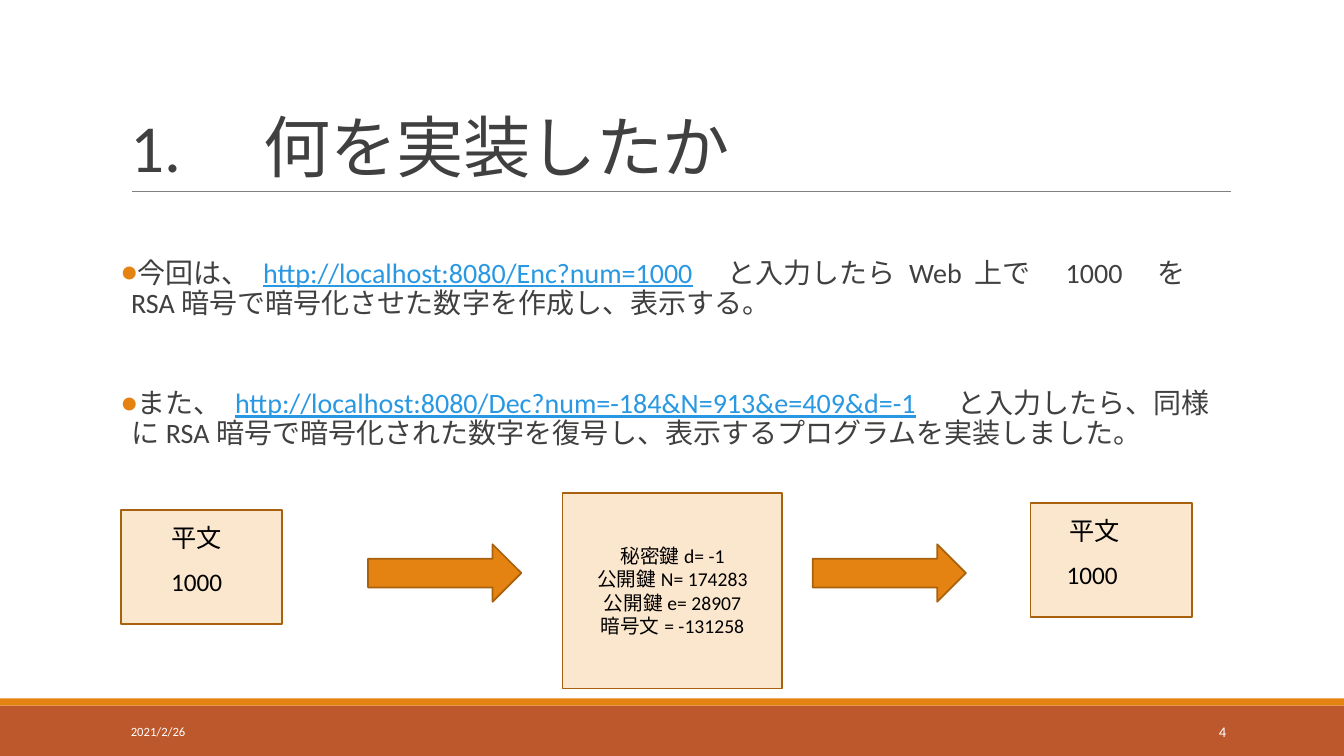
from dataclasses import dataclass

from lxml import etree
from pptx import Presentation
from pptx.dml.color import RGBColor
from pptx.enum.lang import MSO_LANGUAGE_ID as Lang
from pptx.enum.shapes import MSO_CONNECTOR as Conn, MSO_SHAPE as Shape
from pptx.enum.text import MSO_ANCHOR as Anchor, PP_ALIGN as Align
from pptx.oxml.ns import qn
from pptx.util import Inches, Pt

FONT = "Calibri"
COLORS = {
    "footer": "BD582C",
    "accent": "E48312",
    "edge": "A9610D",
    "card": "FBE6CE",
    "rule": "808080",
    "text": "404040",
    "link": "2998E3",
    "black": "000000",
    "white": "FFFFFF",
}


@dataclass
class Box:
    left: float
    top: float
    width: float
    height: float

    def emu(self) -> tuple:
        return tuple(Inches(v) for v in (self.left, self.top, self.width, self.height))


@dataclass
class Block:
    box: Box
    kind: Shape
    fill: str
    edge: str | None = None


@dataclass
class Label:
    box: Box
    text: str
    size: float
    color: str = "black"
    anchor: Anchor = Anchor.TOP
    align: Align = Align.LEFT


@dataclass
class Bullet:
    lead: str
    address: str
    rest: str
    space_before: float


def rgb(name: str) -> RGBColor:
    return RGBColor.from_string(COLORS[name])


def style_run(r, size: float, color: str) -> None:
    r.font.name = FONT
    r.font.size = Pt(size)
    r.font.color.rgb = rgb(color)
    r.font.language_id = Lang.JAPANESE


def write(tf, text: str, size: float, color: str, align: Align, anchor: Anchor) -> None:
    tf.text = text
    tf.word_wrap = True
    tf.vertical_anchor = anchor
    for p in tf.paragraphs:
        p.alignment = align
        for r in p.runs:
            style_run(r, size, color)


def add_block(s, block: Block):
    sp = s.shapes.add_shape(block.kind, *block.box.emu())
    sp.shadow.inherit = False
    sp.fill.solid()
    sp.fill.fore_color.rgb = rgb(block.fill)
    if block.edge:
        sp.line.color.rgb = rgb(block.edge)
        sp.line.width = Pt(1.25)
    else:
        sp.line.fill.background()
    return sp


def add_label(s, label: Label):
    sp = s.shapes.add_textbox(*label.box.emu())
    write(sp.text_frame, label.text, label.size, label.color, label.align, label.anchor)
    return sp


def add_title(s) -> None:
    sp = add_label(s, Label(Box(1.2, 0.31, 11, 1.59), "1.　何を実装したか", 48, "text", Anchor.BOTTOM))
    p = sp.text_frame.paragraphs[0]
    p.line_spacing = 0.85
    p.runs[0].font._element.set("spc", "-50")
    rule = s.shapes.add_connector(Conn.STRAIGHT, Inches(1.31), Inches(1.9), Inches(12.21), Inches(1.9))
    rule.line.color.rgb = rgb("rule")
    rule.line.width = Pt(0.5)
    etree.SubElement(rule._element.spPr, qn("a:effectLst"))


def add_bullet_mark(p) -> None:
    """Give the paragraph a hanging round bullet in the accent colour."""
    pPr = p._p.get_or_add_pPr()
    pPr.set("marL", str(Inches(0.1)))
    pPr.set("indent", str(Inches(-0.1)))
    color = etree.SubElement(pPr, qn("a:buClr"))
    etree.SubElement(color, qn("a:srgbClr"), val=COLORS["accent"])
    etree.SubElement(pPr, qn("a:buFont"), typeface=FONT)
    etree.SubElement(pPr, qn("a:buChar"), char="●")


def add_bullets(s, box: Box, bullets: list[Bullet]) -> None:
    tf = s.shapes.add_textbox(*box.emu()).text_frame
    tf.word_wrap = True
    tf.margin_left = tf.margin_right = 0
    for i, bullet in enumerate(bullets):
        p = tf.add_paragraph() if i else tf.paragraphs[0]
        p.line_spacing = 0.9
        p.space_before = Pt(bullet.space_before)
        p.space_after = Pt(2)
        add_bullet_mark(p)
        for text in (bullet.lead, bullet.address, bullet.rest):
            r = p.add_run()
            r.text = text
            is_address = text == bullet.address
            style_run(r, 20, "link" if is_address else "text")
            r.font.underline = is_address


def add_plaintext_card(s, left: float, top: float, word_left: float, number_left: float) -> None:
    add_block(s, Block(Box(left, top, 1.6, 1.13), Shape.RECTANGLE, "card", "edge"))
    add_label(s, Label(Box(word_left, top + 0.07, 2.41, 0.4), "平文", 18))
    add_label(s, Label(Box(number_left, top + 0.51, 2.3, 0.4), "1000", 18))


def add_flow(s) -> None:
    add_plaintext_card(s, 1.2, 5.06, 1.6, 1.6)
    add_plaintext_card(s, 10.22, 4.99, 10.51, 10.48)
    for left in (3.65, 8.06):
        add_block(s, Block(Box(left, 5.4, 1.52, 0.57), Shape.RIGHT_ARROW, "accent", "edge"))
    keys = add_block(s, Block(Box(5.58, 4.89, 2.18, 1.94), Shape.RECTANGLE, "card", "edge"))
    lines = ["秘密鍵d= -1", "公開鍵N= 174283", "公開鍵e= 28907", "暗号文= -131258"]
    write(keys.text_frame, "\n".join(lines), 14, "black", Align.CENTER, Anchor.MIDDLE)


def add_footer(s) -> None:
    add_block(s, Block(Box(0, 7, 13.33, 0.5), Shape.RECTANGLE, "footer"))
    add_block(s, Block(Box(0, 6.93, 13.33, 0.07), Shape.RECTANGLE, "accent"))
    add_label(s, Label(Box(1.2, 7.06, 2.7, 0.4), "2021/2/26", 9, "white", Anchor.MIDDLE))
    add_label(s, Label(Box(10.83, 7.06, 1.43, 0.4), "4", 10.5, "white", Anchor.MIDDLE, Align.RIGHT))


def main() -> None:
    prs = Presentation()
    prs.slide_width, prs.slide_height = Inches(13.33), Inches(7.5)
    s = prs.slides.add_slide(prs.slide_layouts[6])
    add_footer(s)
    add_title(s)
    add_bullets(s, Box(1.2, 2.52, 11, 2.3), [
        Bullet("今回は、 ", "http://localhost:8080/Enc?num=1000",
               "　と入力したら Web 上で　1000　をRSA暗号で暗号化させた数字を作成し、表示する。", 0),
        Bullet("また、 ", "http://localhost:8080/Dec?num=-184&N=913&e=409&d=-1",
               " 　と入力したら、同様にRSA暗号で暗号化された数字を復号し、表示するプログラムを実装しました。", 48),
    ])
    add_flow(s)
    prs.save("out.pptx")


if __name__ == "__main__":
    main()
